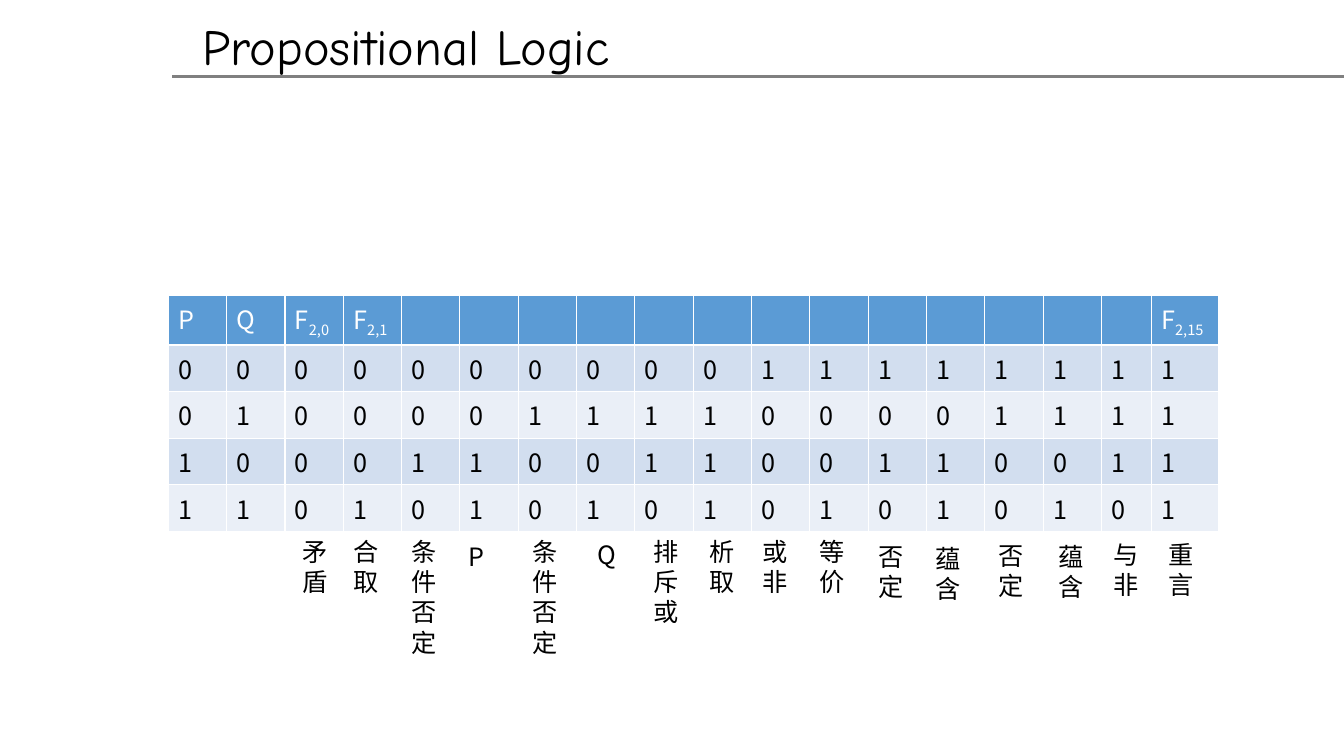
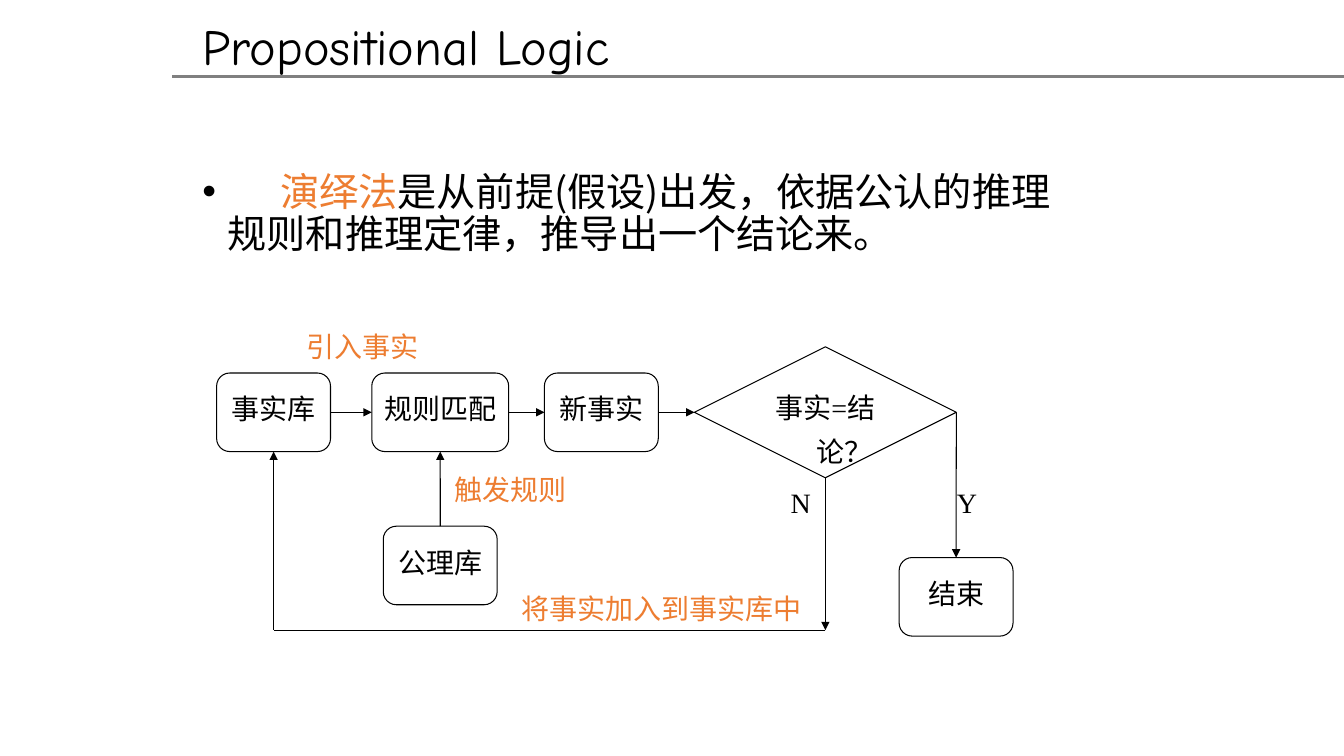
from dataclasses import dataclass

from lxml.etree import SubElement
from pptx import Presentation
from pptx.dml.color import RGBColor
from pptx.enum.shapes import MSO_CONNECTOR, MSO_SHAPE
from pptx.enum.text import MSO_ANCHOR, MSO_AUTO_SIZE, PP_ALIGN
from pptx.oxml.ns import qn
from pptx.util import Cm, Pt


@dataclass(frozen=True)
class Theme:
    blue: str = "5B9BD5"
    orange: str = "ED7D31"
    black: str = "000000"
    white: str = "FFFFFF"
    gray: str = "808080"
    bands: tuple = ("D2DEEF", "EAEFF7")
    title_font: str = "Comic Neue"
    body_font: str = "Noto Sans CJK SC"
    diagram_font: str = "Times New Roman"
    title_size: int = 36
    body_size: int = 28
    diagram_size: int = 20
    table_size: int = 18


THEME = Theme()
TOP, LEFT, BOTTOM, RIGHT = range(4)
FUNCTION_LABELS = [
    ("矛盾", 7.37, 13.39), ("合取", 8.66, 13.39),
    ("条件否定", 10.13, 13.39), ("P", 11.56, 13.51),
    ("条件否定", 13.18, 13.39), ("Q", 14.81, 13.46),
    ("排斥或", 16.21, 13.39), ("析取", 17.63, 13.39),
    ("或非", 18.97, 13.39), ("等价", 20.4, 13.39),
    ("否定", 21.89, 13.51), ("蕴含", 23.32, 13.56),
    ("否定", 24.92, 13.49), ("蕴含", 26.42, 13.51),
    ("与非", 27.81, 13.46), ("重言", 29.21, 13.46),
]


def rgb(color):
    return RGBColor.from_string(color)


def add_text(paragraph, text, size=THEME.table_size, color=THEME.black,
             font=THEME.body_font, spacing=0, baseline=0):
    run = paragraph.add_run()
    run.text = text
    run.font.size = Pt(size)
    run.font.bold = False
    run.font.color.rgb = rgb(color)
    run.font.name = font
    properties = run.font._element
    SubElement(properties, qn("a:ea")).set("typeface", THEME.body_font)
    if spacing:
        properties.set("spc", str(round(spacing * 100)))
    if baseline:
        properties.set("baseline", str(baseline * 1000))


def set_indent(paragraph, left, first_line):
    properties = paragraph._p.get_or_add_pPr()
    properties.set("marL", str(Cm(left)))
    properties.set("indent", str(Cm(first_line)))
    return properties


def add_box(slide, left, top, width, height):
    shape = slide.shapes.add_textbox(Cm(left), Cm(top), Cm(width), Cm(height))
    shape.text_frame.word_wrap = True
    return shape.text_frame


def add_line(slide, start, end, color=THEME.black, width=0.75, arrow=True):
    line = slide.shapes.add_connector(MSO_CONNECTOR.STRAIGHT, *start, *end)
    line.line.color.rgb = rgb(color)
    line.line.width = Pt(width)
    if arrow:
        SubElement(line.line._get_or_add_ln(), qn("a:tailEnd")).set("type", "triangle")
    SubElement(line._element.spPr, qn("a:effectLst"))
    return line


def site_point(shape, site):
    center = shape.left + shape.width // 2
    middle = shape.top + shape.height // 2
    return {
        TOP: (center, shape.top),
        LEFT: (shape.left, middle),
        BOTTOM: (center, shape.top + shape.height),
        RIGHT: (shape.left + shape.width, middle),
    }[site]


def join(slide, source, source_site, target, target_site):
    line = add_line(slide, site_point(source, source_site), site_point(target, target_site))
    line.begin_connect(source, source_site)
    line.end_connect(target, target_site)


def add_node(slide, text, left, top, width=2.87, height=1.98,
             kind=MSO_SHAPE.FLOWCHART_ALTERNATE_PROCESS, inset=None,
             color=THEME.black, framed=True):
    shape = slide.shapes.add_shape(kind, Cm(left), Cm(top), Cm(width), Cm(height))
    shape.shadow.inherit = False
    if framed:
        shape.fill.solid()
        shape.fill.fore_color.rgb = rgb(THEME.white)
        shape.line.color.rgb = rgb(THEME.black)
        shape.line.width = Pt(0.75)
    else:
        shape.fill.background()
        shape.line.fill.background()
    frame = shape.text_frame
    frame.word_wrap = True
    frame.vertical_anchor = MSO_ANCHOR.TOP
    if inset is not None:
        frame.margin_left = frame.margin_right = Cm(inset)
    paragraph = frame.paragraphs[0]
    paragraph.alignment = PP_ALIGN.CENTER
    paragraph.line_spacing = 1.3
    set_indent(paragraph, 0.95, -0.95)
    add_text(paragraph, text, size=THEME.diagram_size, color=color, font=THEME.diagram_font)
    return shape


def add_titled_slide(presentation, title_text):
    slide = presentation.slides.add_slide(presentation.slide_layouts[5])
    add_line(slide, (Cm(4.34), Cm(1.93)), (presentation.slide_width, Cm(1.93)),
             color=THEME.gray, width=2, arrow=False)
    title = slide.shapes.title
    title.left, title.top, title.width, title.height = Cm(4.85), Cm(0.25), Cm(16), Cm(1.8)
    frame = title.text_frame
    frame.auto_size = MSO_AUTO_SIZE.NONE
    frame.vertical_anchor = MSO_ANCHOR.TOP
    frame.paragraphs[0].alignment = PP_ALIGN.LEFT
    add_text(frame.paragraphs[0], title_text, size=THEME.title_size, font=THEME.title_font)
    return slide


def fill_cell(cell, color):
    cell.fill.solid()
    cell.fill.fore_color.rgb = rgb(color)
    return cell.text_frame.paragraphs[0]


def add_truth_table(slide, left, top):
    widths = [1.47] * 16 + [1.25, 1.69]
    table = slide.shapes.add_table(5, len(widths), Cm(left), Cm(top),
                                   Cm(sum(widths)), Cm(5.15)).table
    for column, width in zip(table.columns, widths):
        column.width = Cm(width)
    headers = {0: ("P", ""), 1: ("Q", ""), 2: ("F", "2,0"),
               3: ("F", "2,1"), 17: ("F", "2,15")}
    for column in range(len(widths)):
        paragraph = fill_cell(table.cell(0, column), THEME.blue)
        name, index = headers.get(column, ("", ""))
        if name:
            add_text(paragraph, name, color=THEME.white)
        if index:
            add_text(paragraph, index, color=THEME.white, baseline=-25)
        else:
            paragraph.font.size = Pt(THEME.table_size)
    for row in range(4):
        outputs = [function >> (3 - row) & 1 for function in range(16)]
        for column, value in enumerate([row >> 1, row & 1, *outputs]):
            paragraph = fill_cell(table.cell(row + 1, column), THEME.bands[row % 2])
            add_text(paragraph, str(value))


def add_definition(slide):
    paragraph = add_box(slide, 4.85, 4.22, 22.4, 3.2).paragraphs[0]
    paragraph.line_spacing = 0.9
    paragraph.space_before = Pt(10)
    properties = set_indent(paragraph, 0.64, -0.64)
    SubElement(properties, qn("a:buFont")).set("typeface", "Arial")
    SubElement(properties, qn("a:buChar")).set("char", "•")
    add_text(paragraph, "　", size=THEME.body_size, spacing=9.6)
    add_text(paragraph, "演绎法", size=THEME.body_size, color=THEME.orange)
    add_text(paragraph, "是从前提(假设)出发，依据公认的推理规则和推理定律，推导出一个结论来。",
             size=THEME.body_size)


def add_deduction_flow(slide):
    facts = add_node(slide, "事实库", 5.46, 9.4)
    matching = add_node(slide, "规则匹配", 9.37, 9.4, width=3.45, inset=0.15)
    new_fact = add_node(slide, "新事实", 13.72, 9.4)
    decision = add_node(slide, "事实=结论？", 17.5, 8.74, width=6.6, height=3.3,
                        kind=MSO_SHAPE.FLOWCHART_DECISION, inset=0.05)
    decision.text_frame.margin_top = decision.text_frame.margin_bottom = Cm(0.03)
    axioms = add_node(slide, "公理库", 9.66, 13.26)
    finish = add_node(slide, "结束", 22.66, 14.05)

    for text, left, top, width, color in [
        ("Y", 23.8, 11.81, 1.14, THEME.black),
        ("N", 19.61, 11.81, 1.14, THEME.black),
        ("触发规则", 10.87, 11.43, 4.01, THEME.orange),
        ("将事实加入到事实库中", 12.67, 14.43, 8, THEME.orange),
        ("引入事实", 7.14, 7.82, 4.01, THEME.orange),
    ]:
        add_node(slide, text, left, top, width=width, color=color, framed=False)

    join(slide, facts, RIGHT, matching, LEFT)
    join(slide, matching, RIGHT, new_fact, LEFT)
    join(slide, new_fact, RIGHT, decision, LEFT)
    join(slide, decision, RIGHT, finish, TOP)
    join(slide, axioms, TOP, matching, BOTTOM)

    loop_start = site_point(decision, BOTTOM)
    loop_end = site_point(facts, BOTTOM)
    right_corner = (loop_start[0], Cm(15.88))
    left_corner = (loop_end[0], Cm(15.88))
    add_line(slide, loop_start, right_corner)
    add_line(slide, right_corner, left_corner, arrow=False)
    add_line(slide, left_corner, loop_end)


def main():
    presentation = Presentation()
    presentation.slide_width = Cm(33.87)
    presentation.slide_height = Cm(19.05)

    truth_slide = add_titled_slide(presentation, "Propositional Logic")
    add_truth_table(truth_slide, 4.24, 7.44)
    for text, left, top in FUNCTION_LABELS:
        label = add_box(truth_slide, left, top, 0.97, 0.25 + 0.77 * len(text))
        add_text(label.paragraphs[0], text)

    deduction_slide = add_titled_slide(presentation, "Propositional Logic")
    add_definition(deduction_slide)
    add_deduction_flow(deduction_slide)

    presentation.save("out.pptx")


if __name__ == "__main__":
    main()
